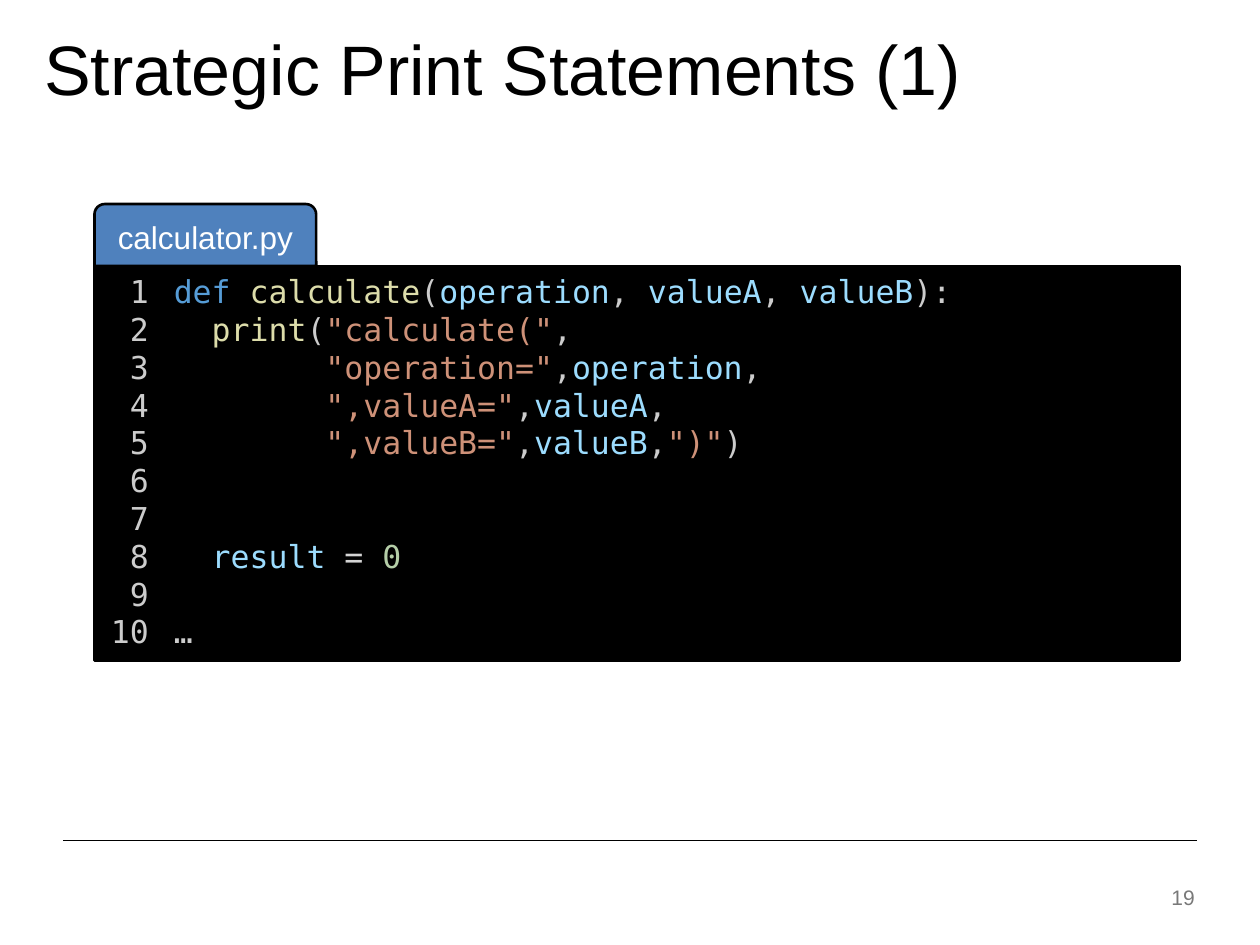
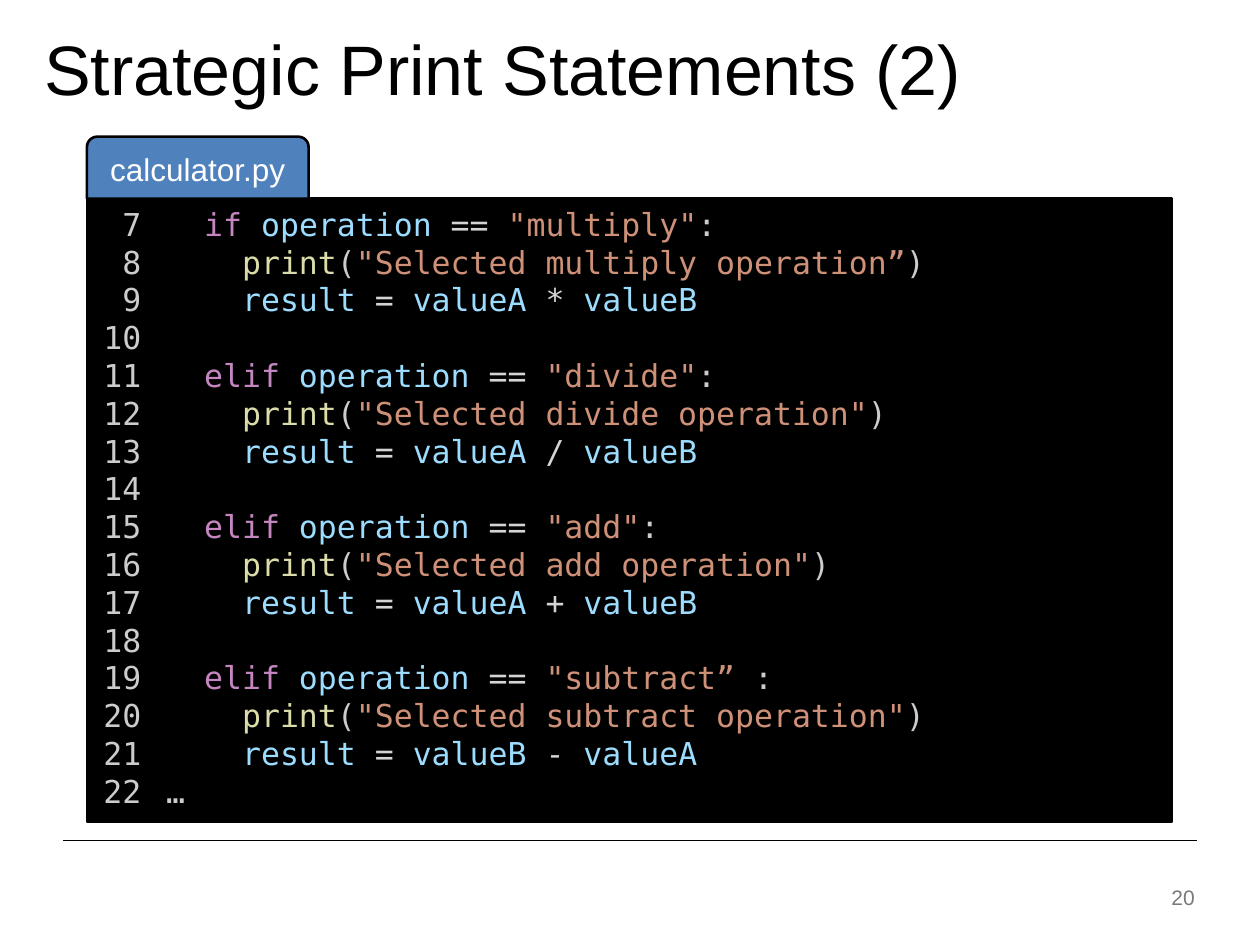
from pptx import Presentation
from pptx.dml.color import RGBColor
from pptx.enum.shapes import MSO_CONNECTOR, MSO_SHAPE
from pptx.enum.text import MSO_ANCHOR, MSO_AUTO_SIZE, PP_ALIGN
from pptx.oxml.ns import qn
from pptx.util import Pt
from lxml.etree import SubElement

KEYWORD, BRANCH, FUNCTION = "569CD6", "C586C0", "DCDCAA"
VARIABLE, STRING, NUMBER = "9CDCFE", "CE9178", "B5CEA8"
PLAIN, OPERATOR = "CCCCCC", "D4D4D4"
BLACK, WHITE, TAB_BLUE, PAGE_GREY = "000000", "FFFFFF", "4F81BD", "797979"

COMMA = (PLAIN, ",")
ELLIPSIS = [(PLAIN, "…")]


def rgb(hex_colour):
    return RGBColor.from_string(hex_colour)


class Deck:
    text_font = "Arial"
    code_font = "DejaVu Sans Mono"
    code_size = 18
    line_pitch = 21.6
    row_height = 21.8
    panel_padding = 7.4
    gutter_width = 38.2
    code_width = 581.8
    tab_width, tab_height = 126.7, 35.4

    def __init__(self):
        self.presentation = Presentation()
        self.presentation.slide_width = Pt(720)
        self.presentation.slide_height = Pt(540)
        self.slide = None

    def start_slide(self, title, page):
        layout = self.presentation.slide_layouts[5]
        self.slide = self.presentation.slides.add_slide(layout)
        self.rule(36, 480, 684)
        self.title(title)
        self.page_number(page)

    def format(self, paragraph, font, size, colour, align):
        paragraph.alignment = align
        paragraph.font.name = font
        paragraph.font.size = Pt(size)
        paragraph.font.color.rgb = rgb(colour)

    def title(self, text):
        heading = self.slide.shapes.title
        heading.left, heading.top = Pt(18), Pt(10.8)
        heading.width, heading.height = Pt(606), Pt(55.4)
        frame = heading.text_frame
        frame.text = text
        frame.auto_size = MSO_AUTO_SIZE.NONE
        frame.vertical_anchor = MSO_ANCHOR.TOP
        self.format(frame.paragraphs[0], self.text_font, 40, BLACK, PP_ALIGN.LEFT)

    def page_number(self, page):
        footer = self.slide.shapes.add_textbox(Pt(527.8), Pt(498.2), Pt(162), Pt(28.8))
        frame = footer.text_frame
        frame.word_wrap = True
        frame.vertical_anchor = MSO_ANCHOR.MIDDLE
        frame.text = str(page)
        self.format(frame.paragraphs[0], self.text_font, 12, PAGE_GREY, PP_ALIGN.RIGHT)

    def rule(self, left, top, right):
        footer_rule = self.slide.shapes.add_connector(
            MSO_CONNECTOR.STRAIGHT, Pt(left), Pt(top), Pt(right), Pt(top))
        footer_rule.line.color.rgb = rgb(BLACK)
        footer_rule.line.width = Pt(0.5)
        SubElement(footer_rule._element.spPr, qn("a:effectLst"))

    def block(self, kind, left, top, width, height, fill, anchor):
        shape = self.slide.shapes.add_shape(kind, Pt(left), Pt(top), Pt(width), Pt(height))
        shape.shadow.inherit = False
        shape.fill.solid()
        shape.fill.fore_color.rgb = rgb(fill)
        shape.line.color.rgb = rgb(BLACK)
        shape.line.width = Pt(1.5)
        shape.text_frame.vertical_anchor = anchor
        return shape.text_frame

    def code_column(self, left, top, width, lines, align):
        height = len(lines) * self.row_height + self.panel_padding
        frame = self.block(MSO_SHAPE.RECTANGLE, left, top, width, height,
                           BLACK, MSO_ANCHOR.TOP)
        for index, tokens in enumerate(lines):
            paragraph = frame.add_paragraph() if index else frame.paragraphs[0]
            paragraph.line_spacing = Pt(self.line_pitch)
            self.format(paragraph, self.code_font, self.code_size, PLAIN, align)
            for colour, text in tokens:
                run = paragraph.add_run()
                run.text = text
                run.font.color.rgb = rgb(colour)

    def code_panel(self, left, top, file_name, first_number, lines):
        numbers = [[(PLAIN, str(first_number + i))] for i in range(len(lines))]
        self.code_column(left + self.gutter_width, top, self.code_width,
                         lines, PP_ALIGN.LEFT)
        self.code_column(left, top, self.gutter_width, numbers, PP_ALIGN.RIGHT)
        tab = self.block(MSO_SHAPE.ROUND_2_SAME_RECTANGLE, left, top - self.tab_height,
                         self.tab_width, self.tab_height, TAB_BLUE, MSO_ANCHOR.MIDDLE)
        tab.text = file_name
        self.format(tab.paragraphs[0], self.text_font, 18, WHITE, PP_ALIGN.CENTER)


def branch(keyword, literal, message, first, sign, second):
    return [
        [(BRANCH, f"  {keyword} "), (VARIABLE, "operation "), (OPERATOR, "== "),
         (STRING, literal), (PLAIN, ":")],
        [(FUNCTION, "    print"), (PLAIN, "("), (STRING, message), (PLAIN, ")")],
        [(VARIABLE, "    result "), (OPERATOR, "= "), (VARIABLE, f"{first} "),
         (OPERATOR, f"{sign} "), (VARIABLE, second)],
    ]


def traced(label, variable):
    return [(STRING, f'        "{label}="'), COMMA, (VARIABLE, variable)]


def main():
    deck = Deck()

    calculate_start = [
        [(KEYWORD, "def "), (FUNCTION, "calculate"), (PLAIN, "("),
         (VARIABLE, "operation"), (PLAIN, ", "), (VARIABLE, "valueA"),
         (PLAIN, ", "), (VARIABLE, "valueB"), (PLAIN, "):")],
        [(FUNCTION, "  print"), (PLAIN, "("), (STRING, '"calculate("'), COMMA],
        traced("operation", "operation") + [COMMA],
        traced(",valueA", "valueA") + [COMMA],
        traced(",valueB", "valueB") + [COMMA, (STRING, '")"'), (PLAIN, ")")],
        [],
        [],
        [(VARIABLE, "  result "), (OPERATOR, "= "), (NUMBER, "0")],
        [],
        ELLIPSIS,
    ]
    deck.start_slide("Strategic Print Statements (1)", 19)
    deck.code_panel(54, 152, "calculator.py", 1, calculate_start)

    calculate_branches = [
        *branch("if", '"multiply"', '"Selected multiply operation”',
                "valueA", "*", "valueB"),
        [],
        *branch("elif", '"divide"', '"Selected divide operation"',
                "valueA", "/", "valueB"),
        [],
        *branch("elif", '"add"', '"Selected add operation"',
                "valueA", "+", "valueB"),
        [],
        *branch("elif", '"subtract” ', '"Selected subtract operation"',
                "valueB", "-", "valueA"),
        ELLIPSIS,
    ]
    deck.start_slide("Strategic Print Statements (2)", 20)
    deck.code_panel(49.7, 113.5, "calculator.py", 7, calculate_branches)

    deck.presentation.save("out.pptx")


if __name__ == "__main__":
    main()
